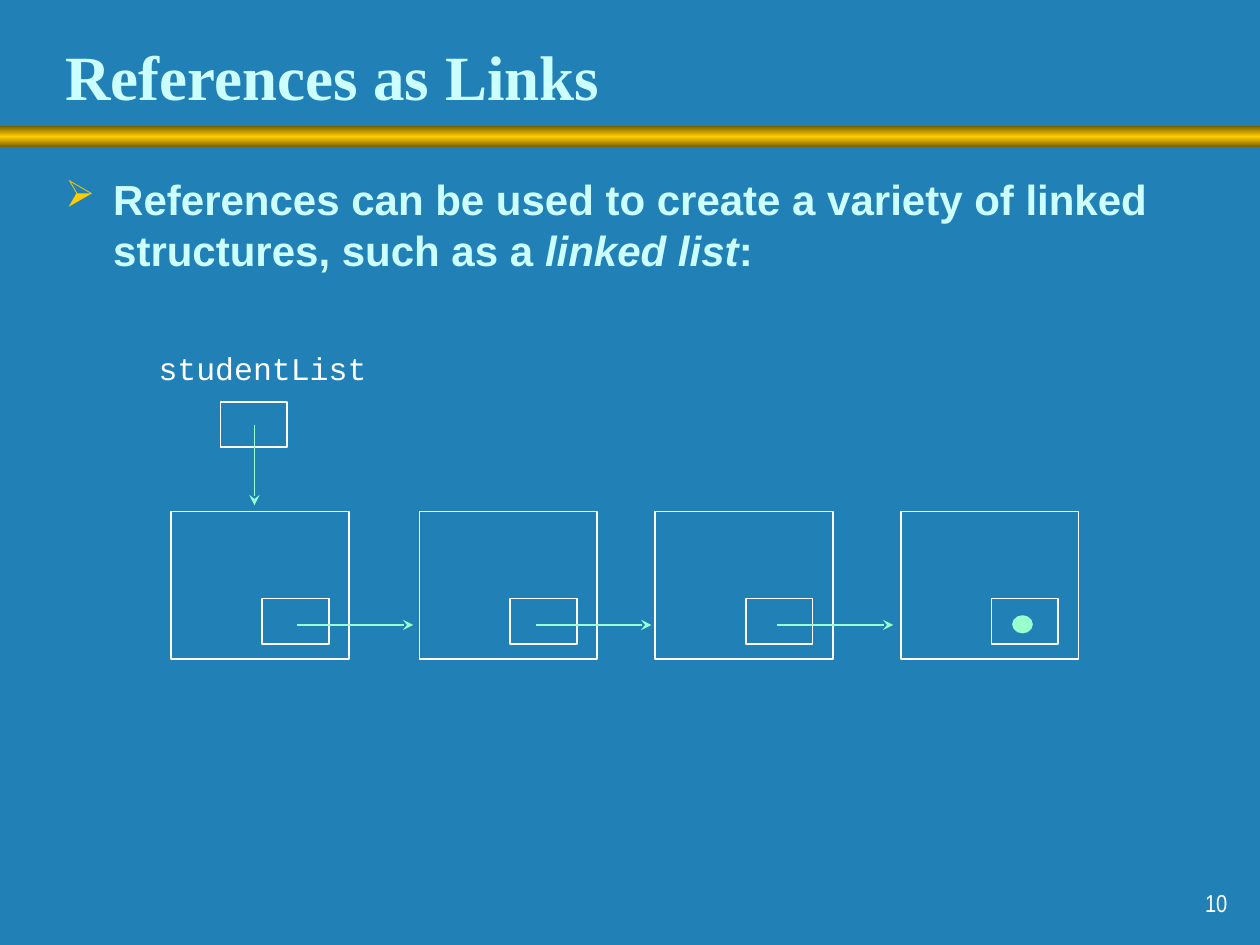
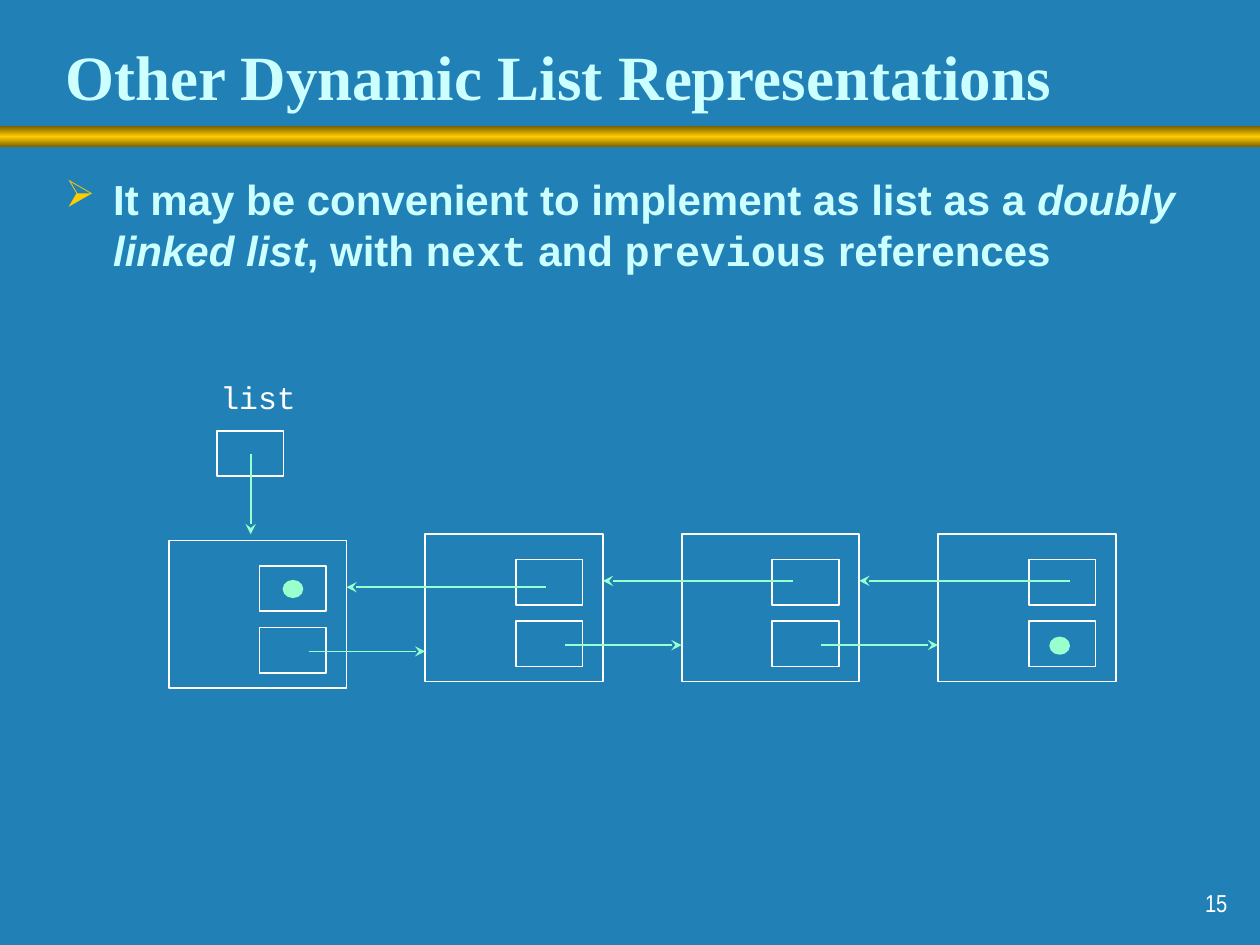
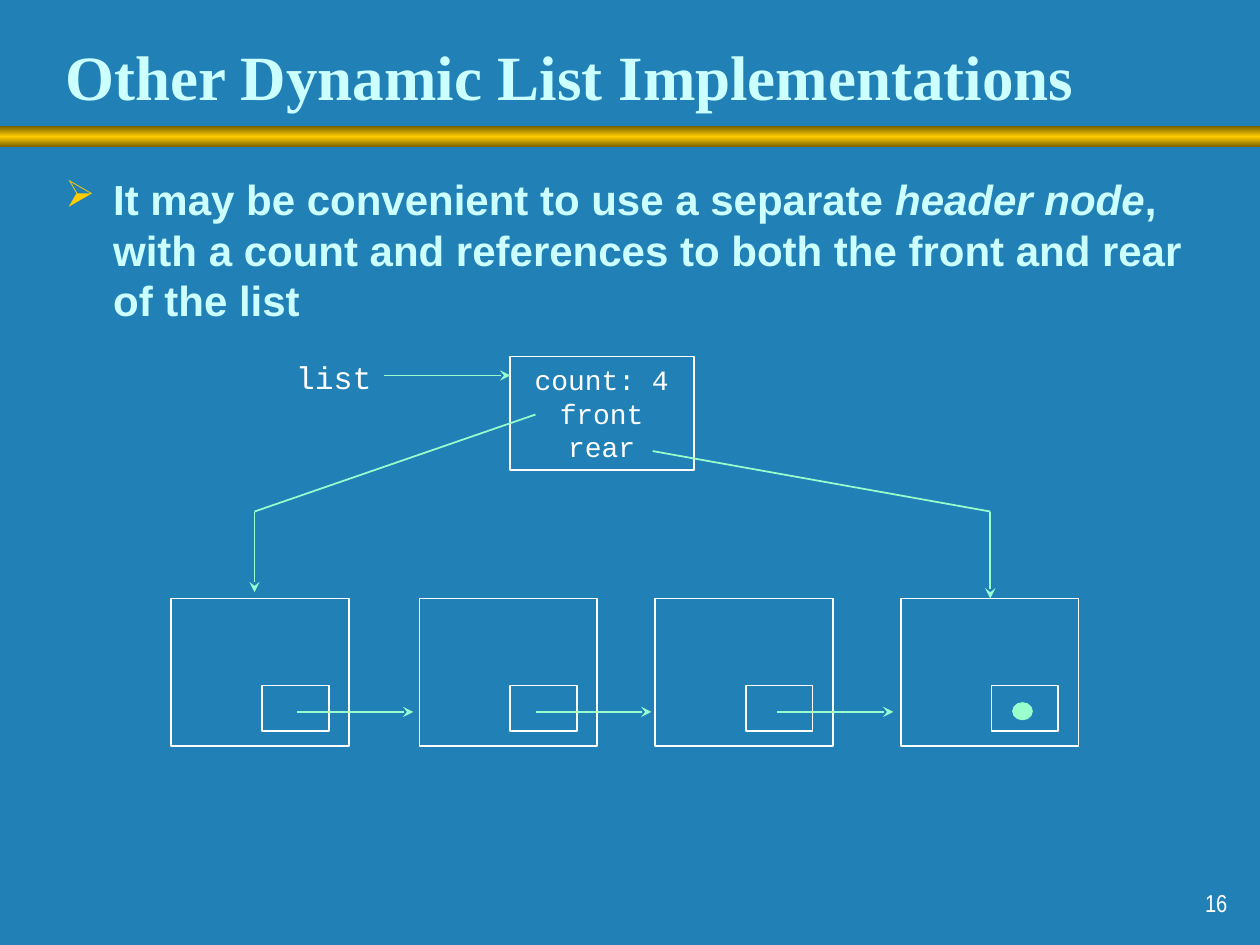
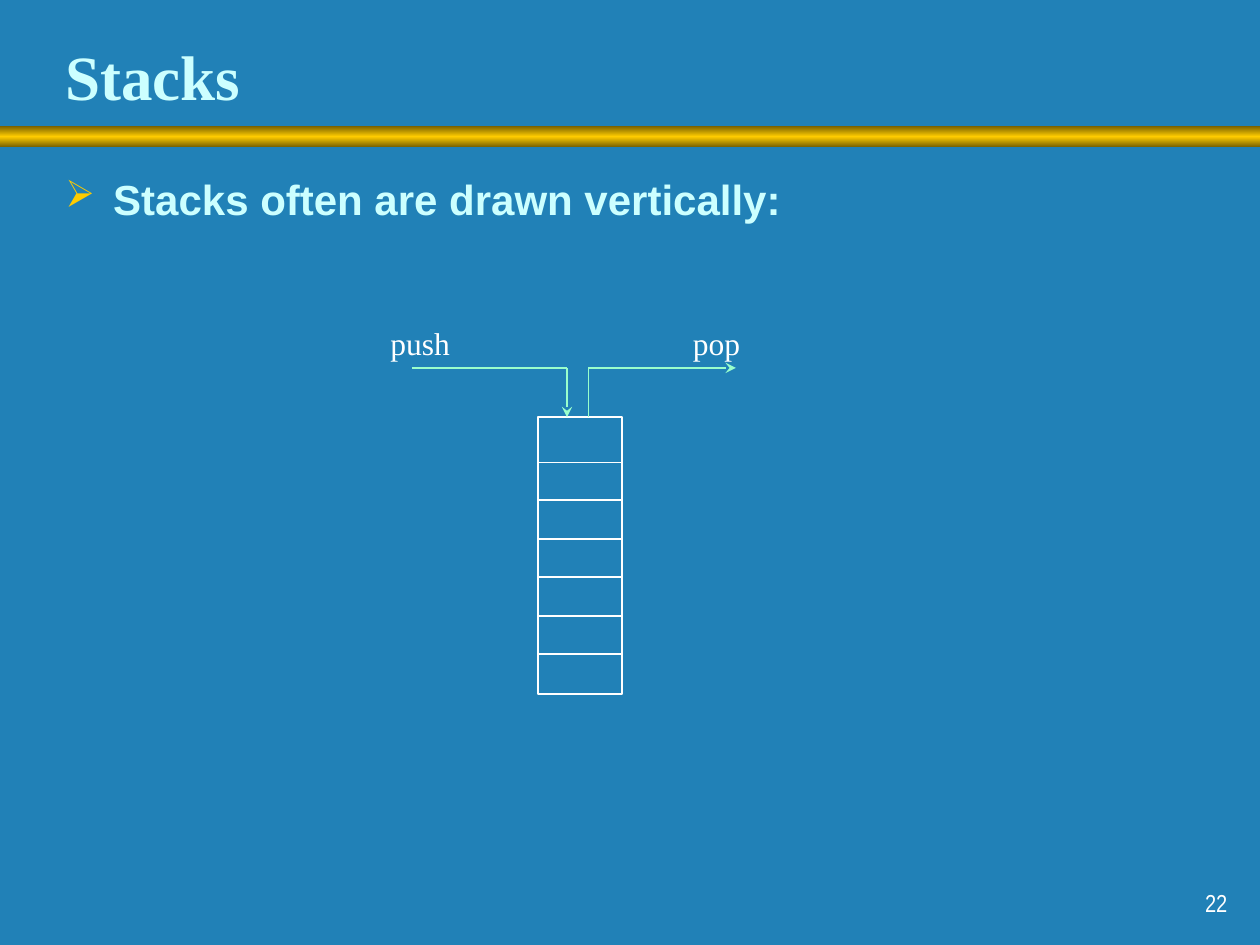
"""Builds four lecture slides on linked lists and stacks."""
from copy import deepcopy

from lxml import etree
from pptx import Presentation
from pptx import util as u
from pptx.dml.color import RGBColor
from pptx.enum import shapes, text
from pptx.oxml.ns import qn

COLORS = {
    "background": "2181B7",
    "heading": "CCFFFF",
    "outline": "FFFFFF",
    "link": "99FFCC",
    "gold": "FFCC00",
    "dark_gold": "755E00",
}
SERIF, SANS, NARROW, CODE = "Times New Roman", "Arial", "Arial Narrow", "Courier New"
NODE_WIDTH, NODE_HEIGHT = 1.41, 1.17
CELL_WIDTH, CELL_HEIGHT = 0.53, 0.36
CELL_DX, PREVIOUS_DY, NEXT_DY = 0.72, 0.2, 0.69
SINGLE_LEFTS = [1.36, 3.33, 5.2, 7.15]
SINGLE_LINK_STARTS = [2.36, 4.25, 6.17]


def color(name):
    """Return the named colour."""
    return RGBColor.from_string(COLORS[name])


def inches(*lengths):
    """Convert several lengths to inches."""
    return [u.Inches(length) for length in lengths]


def set_font(font, name, size, tint, bold=False):
    """Set the face, size, colour and weight of a font."""
    font.name, font.size, font.bold = name, u.Pt(size), bold
    font.color.rgb = color(tint)


def add_text(page, frame, lines, name, size, tint="outline", bold=False,
             align=text.PP_ALIGN.LEFT, anchor=text.MSO_ANCHOR.TOP, wrap=True):
    """Add a text box with one paragraph per line and return its paragraphs."""
    box = page.shapes.add_textbox(*inches(*frame))
    body = box.text_frame
    body.word_wrap, body.vertical_anchor = wrap, anchor
    if not wrap:
        body.auto_size = text.MSO_AUTO_SIZE.SHAPE_TO_FIT_TEXT
    body.text = "\n".join(lines)
    for para in body.paragraphs:
        para.alignment = align
        set_font(para.font, name, size, tint, bold)
    return body.paragraphs


def add_label(page, left, top, width, words, name=CODE):
    """Add an unwrapped one-line label."""
    add_text(page, (left, top, width, 0.4), [words], name, 18, wrap=False)


def add_bullet(page, spans):
    """Add the bulleted statement from (words, style) pairs."""
    para = add_text(page, (0.42, 1.33, 9.08, 5.36), [""], SANS, 24, "heading", True)[0]
    para.space_before = u.Pt(6)
    for words, style in spans:
        span = para.add_run()
        span.text = words
        if style == "italic":
            span.font.italic = True
        elif style == "code":
            span.font.name = CODE
    props = para._p.get_or_add_pPr()
    props.set("marL", str(u.Inches(0.38)))
    props.set("indent", str(-u.Inches(0.38)))
    marks = [etree.Element(qn(tag)) for tag in ("a:buClr", "a:buSzPct", "a:buChar")]
    etree.SubElement(marks[0], qn("a:srgbClr")).set("val", COLORS["gold"])
    marks[1].set("val", "90000")
    marks[2].set("char", "➢")
    defaults = props.find(qn("a:defRPr"))
    for mark in marks:
        defaults.addprevious(mark)


def add_band(page):
    """Add the gold gradient band below the title."""
    band = page.shapes.add_shape(shapes.MSO_SHAPE.RECTANGLE, *inches(0, 1, 10, 0.17))
    band.shadow.inherit = False
    band.line.fill.background()
    band.fill.gradient()
    band.fill.gradient_angle = 270
    stops = band._element.spPr.find(qn("a:gradFill")).find(qn("a:gsLst"))
    stops.append(deepcopy(stops[-1]))
    tints = ("dark_gold", "gold", "dark_gold")
    for stop, position, tint in zip(band.fill.gradient_stops, (0, 0.5, 1), tints):
        stop.position = position
        stop.color.rgb = color(tint)


def add_page(deck, title, number, spans):
    """Add a slide with background, band, title, bullet and number."""
    page = deck.slides.add_slide(deck.slide_layouts[6])
    page.background.fill.solid()
    page.background.fill.fore_color.rgb = color("background")
    add_band(page)
    add_text(page, (0.42, 0.22, 8.55, 0.75), [title], SERIF, 36, "heading", True,
             anchor=text.MSO_ANCHOR.MIDDLE)
    add_bullet(page, spans)
    para = add_text(page, (7.76, 6.83, 2.08, 0.5), [str(number)], NARROW, 14,
                    align=text.PP_ALIGN.RIGHT, anchor=text.MSO_ANCHOR.BOTTOM)[0]
    para.space_before = u.Pt(8.8)
    return page


def add_box(page, left, top, width=CELL_WIDTH, height=CELL_HEIGHT):
    """Add an outlined rectangle."""
    box = page.shapes.add_shape(shapes.MSO_SHAPE.RECTANGLE,
                                *inches(left, top, width, height))
    box.shadow.inherit = False
    box.fill.background()
    box.line.color.rgb, box.line.width = color("outline"), u.Pt(1)


def add_dot(page, left, top):
    """Add the dot that marks a null reference."""
    dot = page.shapes.add_shape(shapes.MSO_SHAPE.OVAL, *inches(left, top, 0.15, 0.13))
    dot.shadow.inherit = False
    dot.fill.solid()
    dot.fill.fore_color.rgb = dot.line.color.rgb = color("link")
    dot.line.width = u.Pt(1)


def add_link(page, start, end, arrow=True):
    """Add a straight line, with an arrowhead at its end if wanted."""
    link = page.shapes.add_connector(shapes.MSO_CONNECTOR.STRAIGHT,
                                     *inches(*start, *end))
    link.line.color.rgb, link.line.width = color("link"), u.Pt(1)
    props = link._element.spPr
    if arrow:
        etree.SubElement(props.find(qn("a:ln")), qn("a:tailEnd")).set("type", "stealth")
    etree.SubElement(props, qn("a:effectLst"))


def add_node(page, left, top, cell_offsets):
    """Add a list node with its reference cells."""
    add_box(page, left, top, NODE_WIDTH, NODE_HEIGHT)
    for offset in cell_offsets:
        add_box(page, left + CELL_DX, top + offset)


def add_entry(page, left, top):
    """Add a reference cell that points down to the first node."""
    add_box(page, left, top)
    add_link(page, (left + 0.27, top + 0.18), (left + 0.27, top + 0.82))


def add_single_list(page, top):
    """Add four nodes, each linked to the next."""
    for left in SINGLE_LEFTS:
        add_node(page, left, top, [NEXT_DY])
    for start in SINGLE_LINK_STARTS:
        add_link(page, (start, top + 0.9), (start + 0.92, top + 0.9))
    add_dot(page, SINGLE_LEFTS[-1] + 0.89, top + 0.83)


def add_double_list(page):
    """Add four nodes linked in both directions."""
    lefts = [1.34 + 2.035 * index for index in range(4)]
    tops = [4.29, 4.24, 4.24, 4.24]
    for left, top in zip(lefts, tops):
        add_node(page, left, top, [PREVIOUS_DY, NEXT_DY])
    for left, top, following, back_start in zip(lefts, tops, lefts[1:],
                                                (4.33, 6.29, 8.49)):
        add_link(page, (left + 1.11, top + 0.88), (following, top + 0.88))
        add_link(page, (back_start, top + 0.37), (left + NODE_WIDTH, top + 0.37))
    add_dot(page, lefts[0] + 0.91, tops[0] + 0.32)
    add_dot(page, lefts[-1] + 0.89, tops[-1] + 0.82)


def add_header_node(page):
    """Add the header node with its links to the front and rear."""
    front_x, rear_x, bend_y = 2.02, 7.86, 4.06
    add_box(page, 4.05, 2.83, 1.46, 0.9)
    add_text(page, (4.14, 2.83, 1.27, 0.9), ["count: 4", "front", "rear"], CODE, 16,
             align=text.PP_ALIGN.CENTER, wrap=False)
    add_label(page, 2.25, 2.79, 0.8, "list")
    add_link(page, (3.05, 2.98), (4.05, 2.98))
    add_link(page, (front_x, bend_y), (4.25, 3.29), arrow=False)
    add_link(page, (front_x, bend_y), (front_x, 4.7))
    add_link(page, (5.18, 3.58), (rear_x, bend_y), arrow=False)
    add_link(page, (rear_x, bend_y), (rear_x, 4.75))


def add_stack(page):
    """Add a vertical stack with its push and pop arrows."""
    left, top, width, turn_y = 4.27, 3.31, 0.67, 2.92
    push_x, pop_x = 4.5, 4.67
    add_box(page, left, top, width, 2.2)
    for index in range(3):
        add_box(page, left, 3.67 + 0.61 * index, width, 0.3)
    add_label(page, 3, 2.52, 0.67, "push", SERIF)
    add_link(page, (3.27, turn_y), (push_x, turn_y), arrow=False)
    add_link(page, (push_x, turn_y), (push_x, top))
    add_label(page, 5.4, 2.52, 0.58, "pop", SERIF)
    add_link(page, (pop_x, turn_y), (pop_x, top), arrow=False)
    add_link(page, (pop_x, turn_y), (5.84, turn_y))


def main():
    """Build and save the deck."""
    deck = Presentation()
    deck.slide_width, deck.slide_height = inches(10, 7.5)

    page = add_page(deck, "References as Links", 10, [
        ("References can be used to create a variety of linked structures, such as a ",
         "plain"),
        ("linked list", "italic"), (":", "plain")])
    add_label(page, 1.16, 2.72, 1.85, "studentList")
    add_entry(page, 1.75, 3.19)
    add_single_list(page, 4.06)

    page = add_page(deck, "Other Dynamic List Representations", 15, [
        ("It may be convenient to implement as list as a ", "plain"),
        ("doubly linked list", "italic"), (", with ", "plain"), ("next", "code"),
        (" and ", "plain"), ("previous", "code"), (" references", "plain")])
    add_label(page, 1.65, 2.95, 0.8, "list")
    add_entry(page, 1.72, 3.42)
    add_double_list(page)

    page = add_page(deck, "Other Dynamic List Implementations", 16, [
        ("It may be convenient to use a separate ", "plain"),
        ("header node", "italic"),
        (", with a count and references to both the front and rear of the list",
         "plain")])
    add_single_list(page, 4.75)
    add_header_node(page)

    page = add_page(deck, "Stacks", 22, [
        ("Stacks often are drawn vertically:", "plain")])
    add_stack(page)

    deck.save("out.pptx")


if __name__ == "__main__":
    main()
